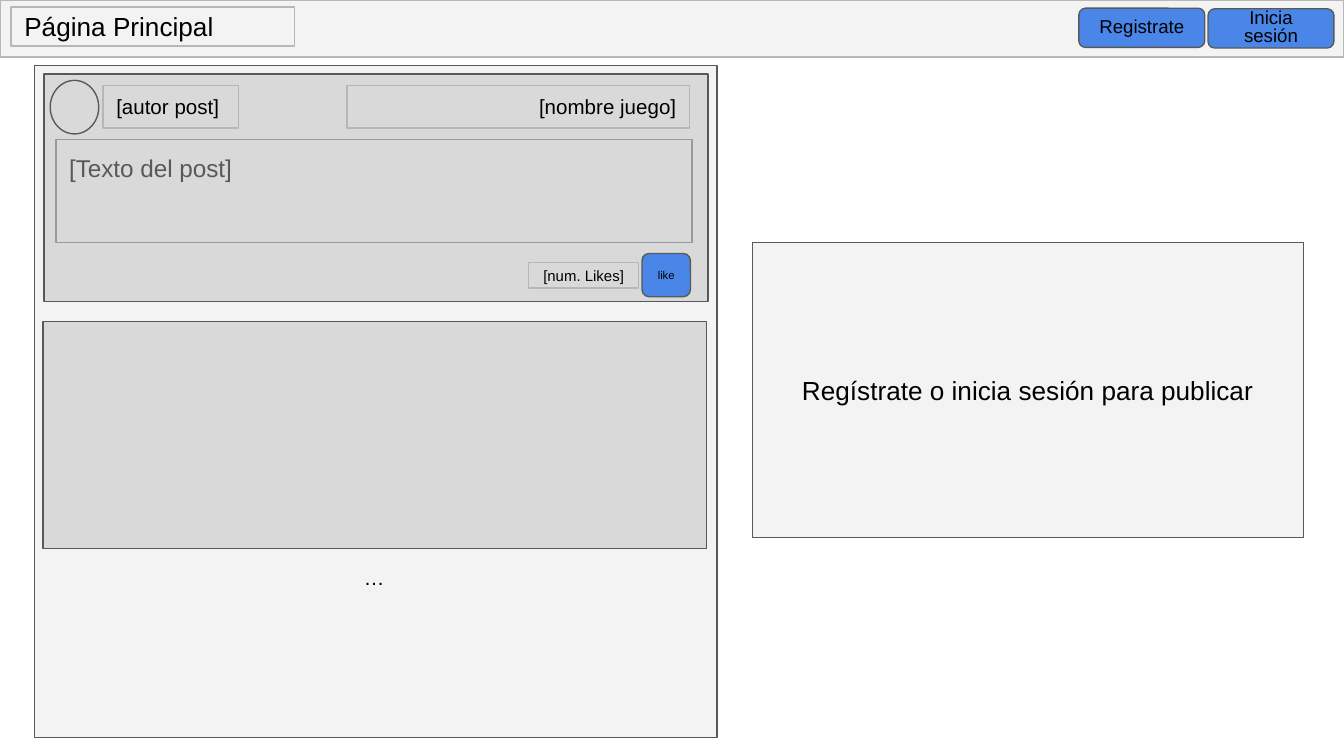
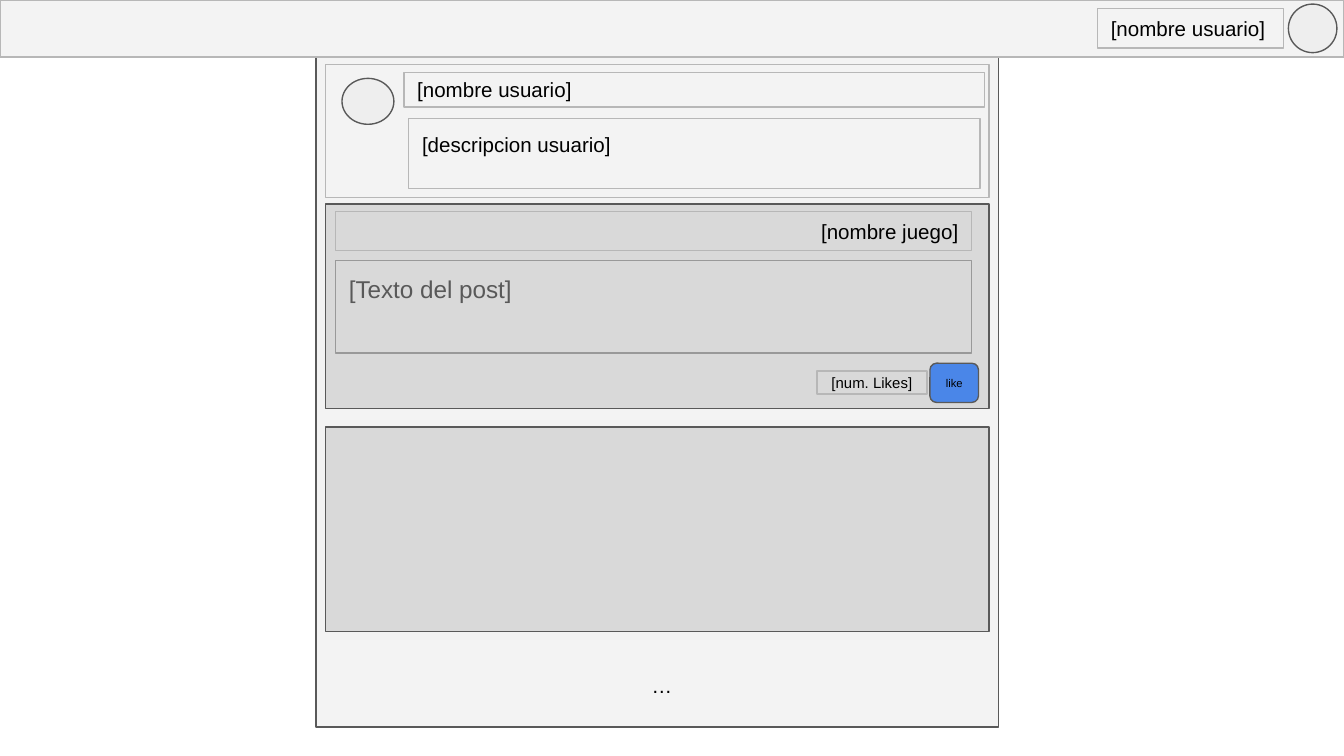
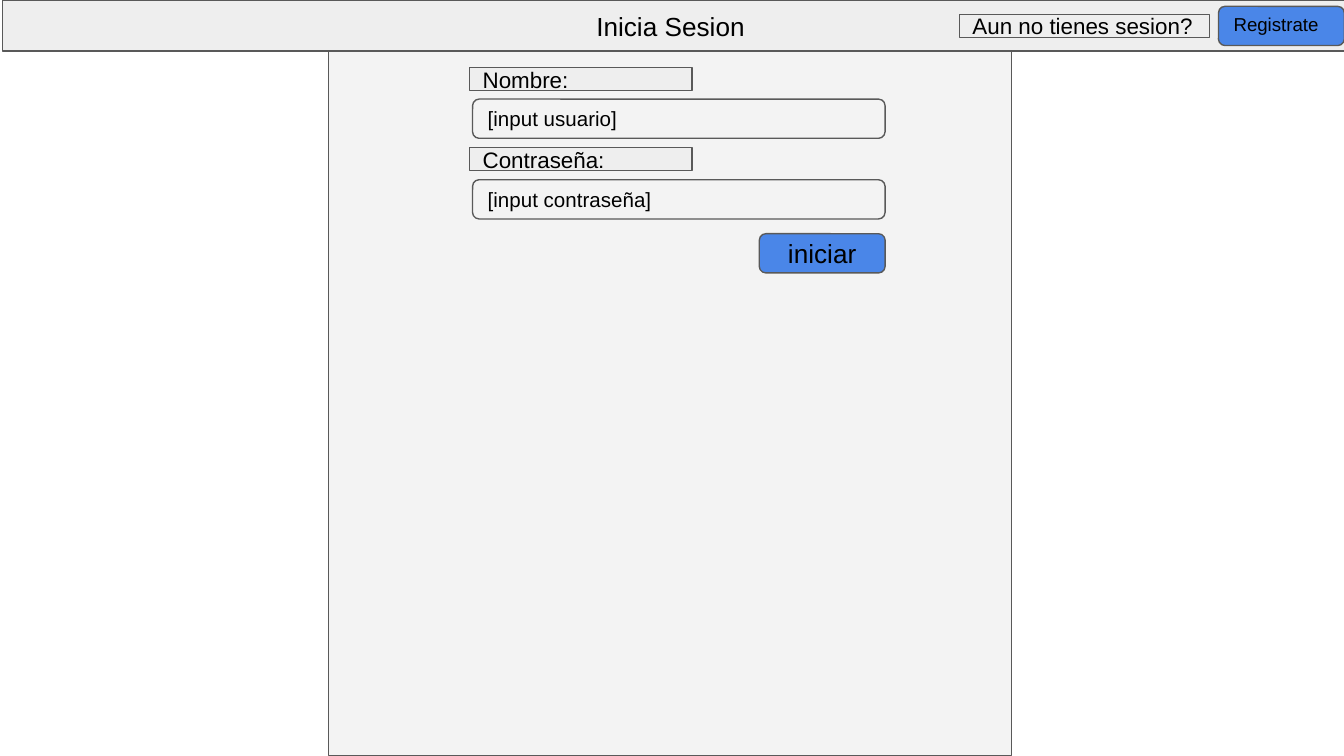
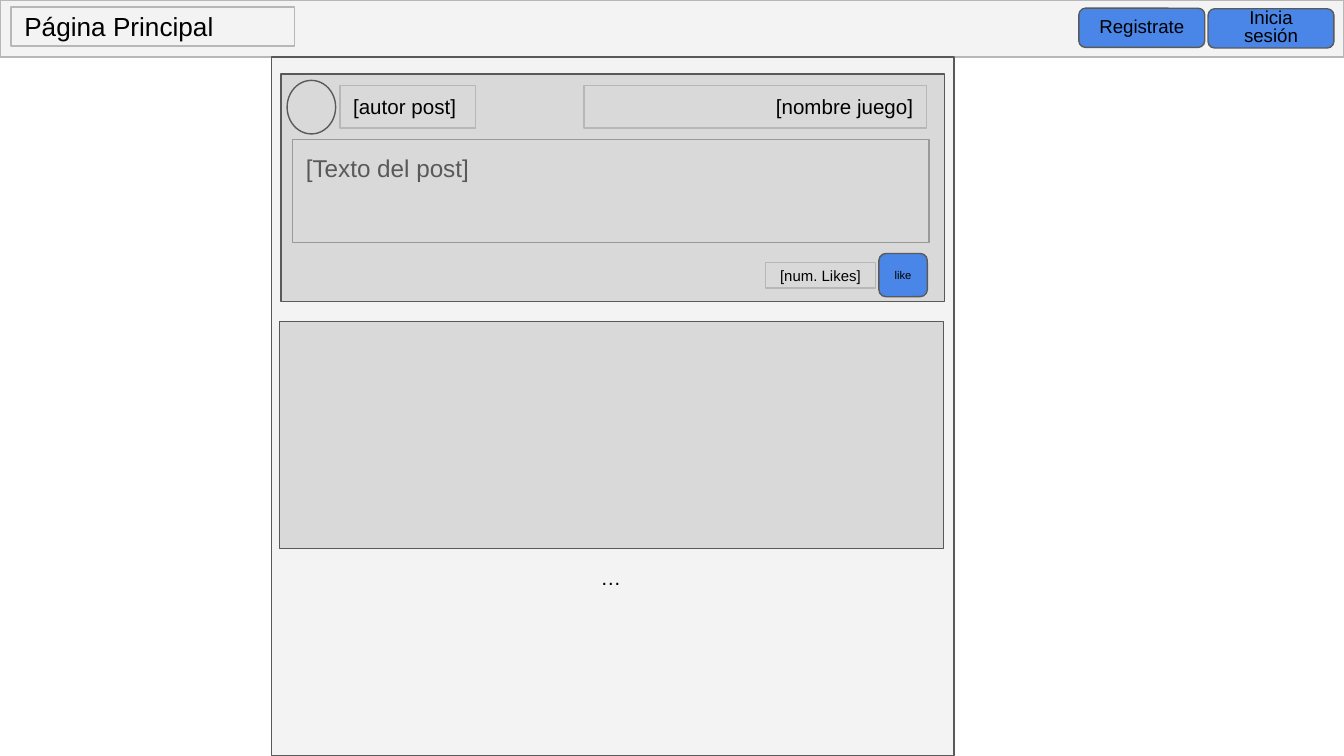
from pptx import Presentation
from pptx.dml.color import RGBColor
from pptx.enum.shapes import MSO_SHAPE as Shape
from pptx.enum.text import MSO_ANCHOR as Anchor, MSO_AUTO_SIZE as AutoSize, PP_ALIGN as Align
from pptx.util import Pt

COLORS = {
    "panel": "F3F3F3",
    "card": "D9D9D9",
    "soft": "EEEEEE",
    "button": "4A86E8",
    "dark": "595959",
    "medium": "999999",
    "light": "B7B7B7",
    "black": "000000",
}

STYLES = {
    "header": {"fill": "panel", "line": "light"},
    "panel": {"fill": "panel", "line": "dark"},
    "card": {"fill": "card", "line": "dark"},
    "profile": {"fill": "panel", "line": "light"},
    "outline_avatar": {"kind": Shape.OVAL, "line": "dark"},
    "avatar": {"kind": Shape.OVAL, "fill": "soft", "line": "dark"},
    "title": {"kind": "title", "line": "light", "size": 14},
    "title_bar": {"kind": "title", "fill": "soft", "line": "dark", "size": 14, "align": Align.CENTER},
    "field": {"line": "light"},
    "description": {"line": "light", "anchor": Anchor.TOP},
    "game": {"line": "light", "align": Align.RIGHT},
    "post": {"line": "medium", "size": 13, "color": "dark", "anchor": Anchor.TOP},
    "likes": {"fill": "card", "line": "light", "size": 8, "align": Align.CENTER},
    "like": {"kind": Shape.ROUNDED_RECTANGLE, "fill": "button", "line": "dark", "size": 6, "align": Align.CENTER},
    "nav": {"kind": Shape.ROUNDED_RECTANGLE, "fill": "button", "line": "dark", "size": 10,
            "align": Align.CENTER, "spacing": 0.8},
    "nav_left": {"kind": Shape.ROUNDED_RECTANGLE, "fill": "button", "line": "dark", "size": 10, "spacing": 0.8},
    "submit": {"kind": Shape.ROUNDED_RECTANGLE, "fill": "button", "line": "dark", "size": 14, "align": Align.CENTER},
    "input": {"kind": Shape.ROUNDED_RECTANGLE, "fill": "panel", "line": "dark"},
    "label": {"fill": "soft", "line": "dark", "size": 12},
    "notice": {"fill": "panel", "line": "dark", "size": 14, "align": Align.CENTER},
    "more": {"kind": "text", "align": Align.CENTER},
}


def draw(shapes, style_name, left, top, width, height, text=""):
    style = STYLES[style_name]
    kind = style.get("kind", Shape.RECTANGLE)
    box = {"left": Pt(left), "top": Pt(top), "width": Pt(width), "height": Pt(height)}
    if kind == "title":
        shape = shapes.title
        shapes.element.append(shape.element)
        for name, value in box.items():
            setattr(shape, name, value)
    elif kind == "text":
        shape = shapes.add_textbox(*box.values())
    else:
        shape = shapes.add_shape(kind, *box.values())
        shape.shadow.inherit = False
    if "fill" in style:
        shape.fill.solid()
        shape.fill.fore_color.rgb = RGBColor.from_string(COLORS[style["fill"]])
    else:
        shape.fill.background()
    if "line" in style:
        shape.line.color.rgb = RGBColor.from_string(COLORS[style["line"]])
        shape.line.width = Pt(0.75)
    if not text:
        return
    frame = shape.text_frame
    paragraph = frame.paragraphs[0]
    paragraph.text = text
    formats = [
        (frame, {"word_wrap": True, "auto_size": AutoSize.NONE,
                 "vertical_anchor": style.get("anchor", Anchor.MIDDLE),
                 "margin_left": Pt(7.2), "margin_right": Pt(7.2),
                 "margin_top": Pt(7.2), "margin_bottom": Pt(7.2)}),
        (paragraph, {"alignment": style.get("align", Align.LEFT),
                     "line_spacing": style.get("spacing", 1.0)}),
    ]
    for run in paragraph.runs:
        formats.append((run.font, {"name": "Arial", "size": Pt(style.get("size", 11))}))
        run.font.color.rgb = RGBColor.from_string(COLORS[style.get("color", "black")])
    for target, values in formats:
        for name, value in values.items():
            setattr(target, name, value)


presentation = Presentation()
presentation.slide_width = Pt(720)
presentation.slide_height = Pt(405)
TITLE_ONLY, BLANK = presentation.slide_layouts[5], presentation.slide_layouts[6]
home, user, login, feed = [
    presentation.slides.add_slide(layout).shapes
    for layout in (TITLE_ONLY, BLANK, TITLE_ONLY, TITLE_ONLY)
]

HEADER = (0, 0, 720, 30.6)
NAV_SIZE = (67.4, 21)
PANEL_WIDTH = 365.8
CARD_WIDTH = 355.6

HOME_HEADER = [
    ("header", *HEADER),
    ("title", 5.8, 3.7, 152, 21, "Página Principal"),
    ("nav", 647.2, 4.7, *NAV_SIZE, "Inicia\nsesión"),
    ("nav", 578, 4.4, *NAV_SIZE, "Registrate"),
]
FEED_POSTS = [
    ("card", 23.6, 39.6, CARD_WIDTH, 121.8),
    ("outline_avatar", 26.9, 43.1, 26, 28.7),
    ("post", 29.9, 74.7, 340.8, 55.2, "[Texto del post]"),
    ("game", 185.9, 45.7, 183.6, 23, "[nombre juego]"),
    ("field", 55.2, 45.7, 72.6, 23, "[autor post]"),
    ("likes", 283.2, 140.6, 59, 13.7, "[num. Likes]"),
    ("like", 343.9, 135.8, 26, 23.2, "like"),
    ("more", 124.4, 298, 152, 23, "…"),
    ("card", 23, 172.2, CARD_WIDTH, 121.8),
]
for shapes, shift, panel_top, panel_height in [(home, 0, 35.2, 360), (feed, 126.9, 30.5, 374.4)]:
    for item in HOME_HEADER:
        draw(shapes, *item)
    draw(shapes, "panel", 18.4 + shift, panel_top, PANEL_WIDTH, panel_height)
    for style_name, left, *rest in FEED_POSTS:
        draw(shapes, style_name, left + shift, *rest)
draw(home, "notice", 403, 129.8, 295.2, 158.2, "Regístrate o inicia sesión para publicar")

profile = user.add_group_shape().shapes
for item in [
    ("panel", 169.2, 30.4, PANEL_WIDTH, 359.2),
    ("profile", 174.3, 34.6, CARD_WIDTH, 71.3),
    ("avatar", 183.2, 42, 27.8, 24.6),
    ("field", 216.4, 38.9, 311, 18.4, "[nombre usuario]"),
    ("description", 219, 63.4, 306, 37.5, "[descripcion usuario]"),
]:
    draw(profile, *item)
for item in [
    ("header", *HEADER),
    ("avatar", 690.2, 2.2, 26, 26),
    ("field", 588, 4.7, 99.6, 21, "[nombre usuario]"),
    ("card", 174.3, 109.4, CARD_WIDTH, 109.4),
    ("post", 179.8, 139.6, 340.8, 49.6, "[Texto del post]"),
    ("game", 179.8, 113.2, 340.8, 21, "[nombre juego]"),
    ("more", 278.6, 356.6, 152, 21, "…"),
    ("card", 174.3, 228.8, CARD_WIDTH, 109.4),
    ("likes", 437.6, 198.8, 59, 12.4, "[num. Likes]"),
    ("like", 498.2, 194.6, 26, 21, "like"),
]:
    draw(user, *item)

draw(login, "panel", 176, 27.4, PANEL_WIDTH, 377.4)
draw(login, "title_bar", 1.2, 0.2, 720, 27.2, "Inicia Sesion ")
for row, (label, hint) in enumerate([("Nombre:", "[input usuario]"), ("Contraseña:", "[input contraseña]")]):
    draw(login, "input", 253.2, 53.1 + 43.2 * row, 221, 21, hint)
    draw(login, "label", 251.5, 36.2 + 42.9 * row, 119.2, 12.4, label)
draw(login, "submit", 406.8, 125.2, *NAV_SIZE, "iniciar")
draw(login, "nav_left", 652.8, 3.4, *NAV_SIZE, "Registrate")
draw(login, "label", 513.9, 7.7, 134, 12.4, "Aun no tienes sesion?")

presentation.save("out.pptx")
